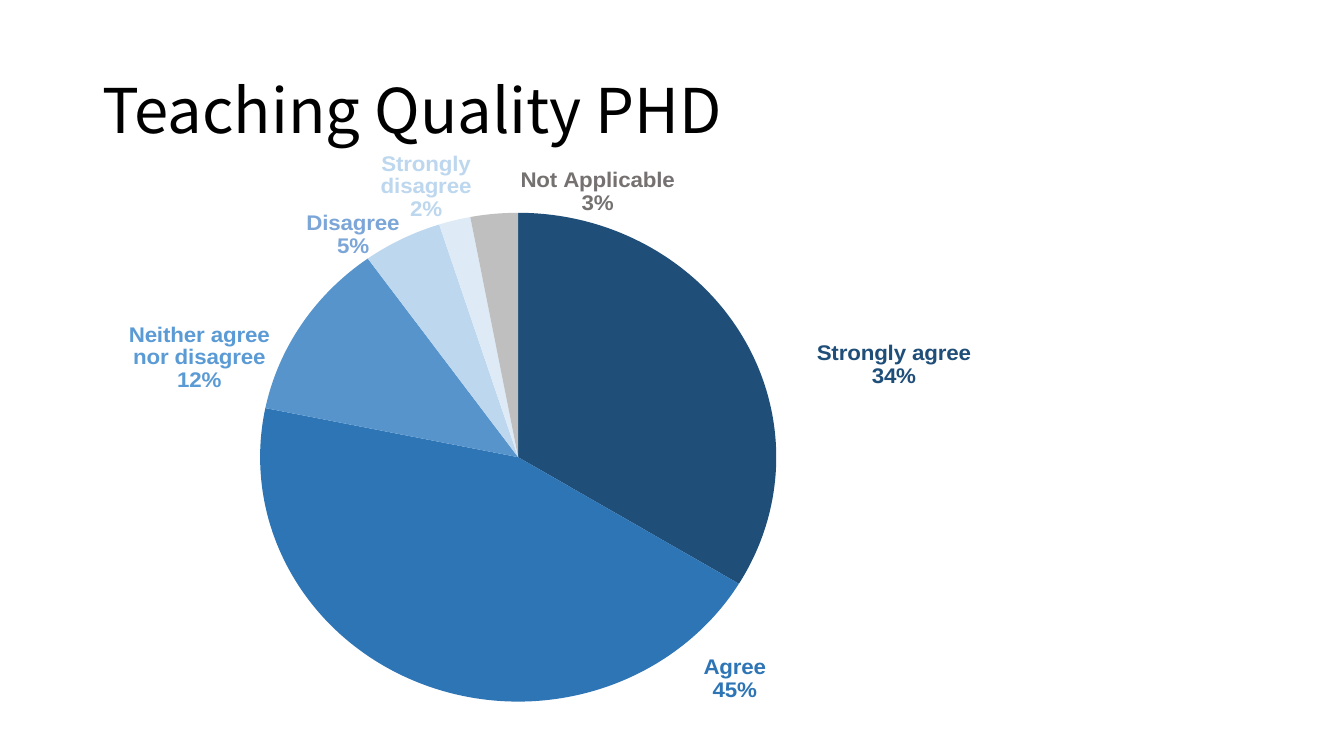
from lxml import etree
from pptx import Presentation
from pptx.chart.data import CategoryChartData
from pptx.dml.color import RGBColor
from pptx.enum.chart import XL_CHART_TYPE as ChartType, XL_LABEL_POSITION as LabelPos
from pptx.enum.text import MSO_ANCHOR as Anchor
from pptx.oxml.ns import qn
from pptx.util import Cm, Pt

BLACK = RGBColor(0x00, 0x00, 0x00)
NAVY = RGBColor(0x1F, 0x4E, 0x79)
BLUE = RGBColor(0x2E, 0x75, 0xB6)
MID_BLUE = RGBColor(0x56, 0x94, 0xCB)
SKY = RGBColor(0x5B, 0x9B, 0xD5)
SOFT_BLUE = RGBColor(0x7C, 0xA6, 0xD8)
PALE_BLUE = RGBColor(0xBD, 0xD7, 0xEE)
ICE = RGBColor(0xDE, 0xEB, 0xF7)
SILVER = RGBColor(0xBF, 0xBF, 0xBF)
GRAY = RGBColor(0x76, 0x71, 0x71)

TITLE_FONT = "Noto Sans CJK SC"
LABEL_FONT = "Arial"

# Answer, share, slice colour, label colour, label shift (x, y)
ANSWERS = [
    ("Strongly agree", 34, NAVY, NAVY, (0.08, 0.09)),
    ("Agree", 45, BLUE, BLUE, (0.38, -0.03)),
    ("Neither agree nor disagree", 12, MID_BLUE, SKY, (-0.03, 0.12)),
    ("Disagree", 5, PALE_BLUE, SOFT_BLUE, (0, 0.04)),
    ("Strongly disagree", 2, ICE, PALE_BLUE, (0.02, 0.01)),
    ("Not Applicable", 3, SILVER, GRAY, (0.2, 0.01)),
]


def style_font(font, name, size, color, bold=False):
    font.name, font.size, font.bold = name, Pt(size), bold
    font.color.rgb = color


def add_text(slide, text, left, top, width, height, *, font, size, color):
    box = slide.shapes.add_textbox(left, top, width, height)
    frame = box.text_frame
    frame.word_wrap = True
    frame.vertical_anchor = Anchor.MIDDLE
    line = frame.paragraphs[0]
    line.text = text
    line.line_spacing = 0.9
    style_font(line.runs[0].font, font, size, color)


def make_layout(**values):
    """Return a c:layout element with the given manual layout values."""
    layout = etree.Element(qn("c:layout"))
    manual = etree.SubElement(layout, qn("c:manualLayout"))
    for tag, value in values.items():
        etree.SubElement(manual, qn(f"c:{tag}")).set("val", str(value))
    return layout


def show_category_and_percent(label_xml):
    for tag, shown in (("showVal", 0), ("showCatName", 1), ("showPercent", 1)):
        label_xml.find(qn(f"c:{tag}")).set("val", str(shown))
    separator = etree.Element(qn("c:separator"))
    separator.text = "\n"
    label_xml.find(qn("c:showPercent")).getnext().addnext(separator)


def add_pie(slide, left, top, width, height):
    data = CategoryChartData()
    data.categories = [answer[0] for answer in ANSWERS]
    data.add_series("Series 1", [answer[1] for answer in ANSWERS])
    chart = slide.shapes.add_chart(ChartType.PIE, left, top, width, height, data).chart
    chart.has_title = False
    chart.has_legend = False
    style_font(chart.font, TITLE_FONT, 10, BLACK)

    series = chart.plots[0].series[0]
    labels = series.data_labels
    labels.show_value = False
    labels.show_category_name = labels.show_percentage = True
    labels.position = LabelPos.OUTSIDE_END
    style_font(labels.font, LABEL_FONT, 16, SKY, bold=True)

    for index, (_, _, slice_color, label_color, _) in enumerate(ANSWERS):
        point = series.points[index]
        point.format.fill.solid()
        point.format.fill.fore_color.rgb = slice_color
        style_font(point.data_label.font, LABEL_FONT, 16, label_color, bold=True)
        point.data_label.position = LabelPos.OUTSIDE_END

    for label_xml, answer in zip(chart.element.xpath(".//c:dLbl"), ANSWERS):
        show_category_and_percent(label_xml)
        shift_x, shift_y = answer[-1]
        label_xml.find(qn("c:idx")).addnext(make_layout(x=shift_x, y=shift_y))
    for leader in chart.element.xpath(".//c:showLeaderLines"):
        leader.set("val", "0")

    plot_area = chart.element.xpath(".//c:plotArea")[0]
    for default_layout in plot_area.findall(qn("c:layout")):
        plot_area.remove(default_layout)
    plot_area.insert(0, make_layout(layoutTarget="inner", xMode="edge", yMode="edge",
                                    x=0.21, y=0.17, w=0.58, h=0.83))


def main():
    deck = Presentation()
    deck.slide_width, deck.slide_height = Cm(33.87), Cm(19.05)
    slide = deck.slides.add_slide(deck.slide_layouts[6])
    add_text(slide, "Teaching Quality PHD", Cm(2.33), Cm(1.01), Cm(29.21), Cm(3.68),
             font=TITLE_FONT, size=44, color=BLACK)
    add_pie(slide, Cm(1.65), Cm(2.84), Cm(22.86), Cm(15.7))
    deck.save("out.pptx")


if __name__ == "__main__":
    main()
